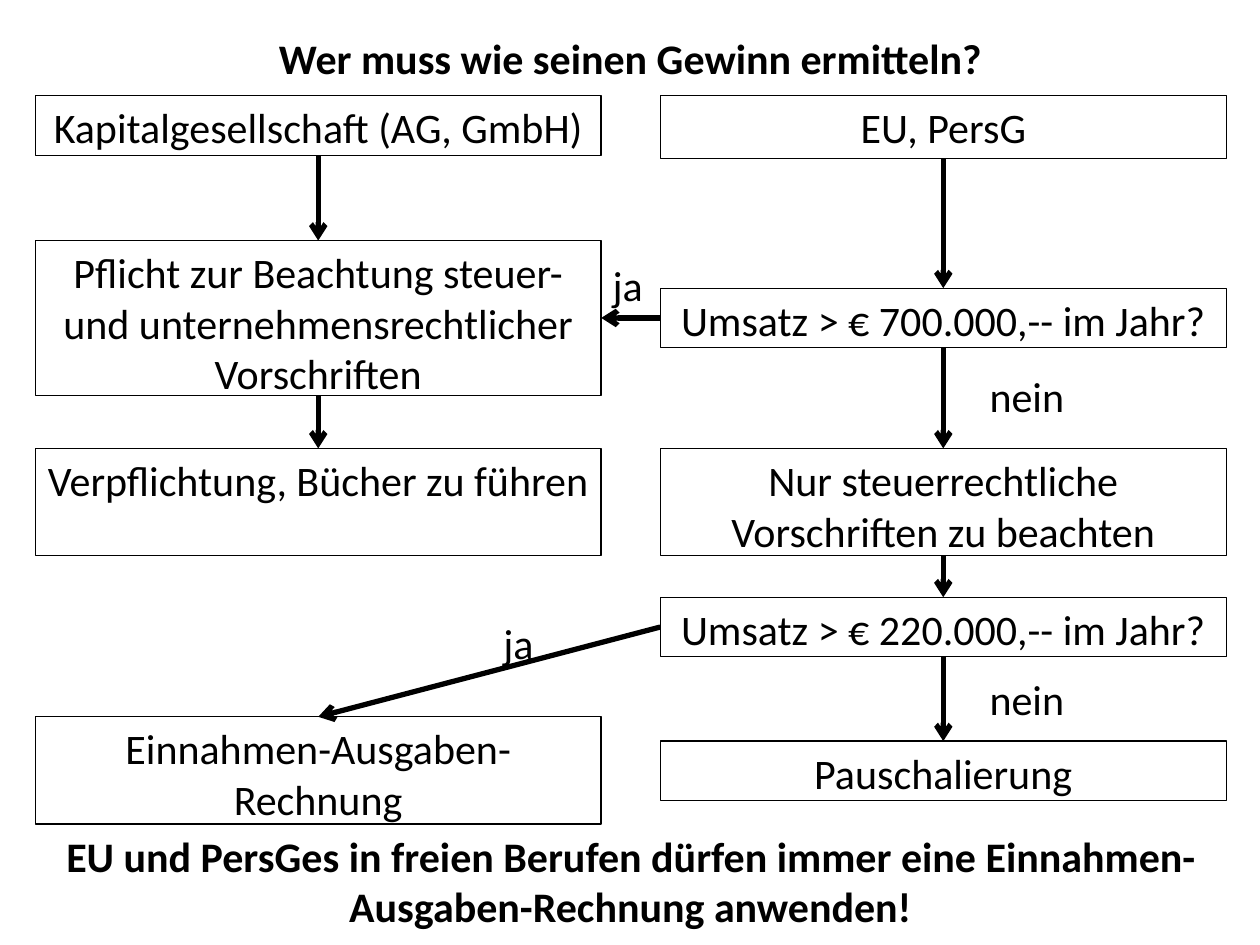
from lxml import etree
from pptx import Presentation
from pptx.dml.color import RGBColor
from pptx.enum.shapes import MSO_CONNECTOR, MSO_SHAPE
from pptx.enum.text import MSO_ANCHOR, PP_ALIGN
from pptx.oxml.ns import qn
from pptx.util import Cm, Pt

RECT = MSO_SHAPE.RECTANGLE
LINE = MSO_CONNECTOR.STRAIGHT
TOP = MSO_ANCHOR.TOP
LEFT, CENTER = PP_ALIGN.LEFT, PP_ALIGN.CENTER
NORTH, WEST, SOUTH, EAST = range(4)

COL_A, COL_B, WIDTH = 0.71, 13.31, 11.41
ONE, TWO = 1.2, 2.16  # box heights for one and two lines


def color(code):
    return RGBColor.from_string(code)


class Chart:
    """Style and current slide of the flow chart."""
    font, size, ink = "Calibri", 24, "000000"

    def __init__(self, slide):
        self.slide = slide

    def fill_text(self, shape, text, align, bold=False):
        frame = shape.text_frame
        frame.word_wrap = True
        frame.vertical_anchor = TOP
        par = frame.paragraphs[0]
        par.text = text
        par.alignment = align
        par.font.name = self.font
        par.font.size = Pt(self.size)
        par.font.bold = bold
        par.font.color.rgb = color(self.ink)

    def box(self, text, left, top, high):
        shape = self.slide.shapes.add_shape(
            RECT, Cm(left), Cm(top), Cm(WIDTH), Cm(high))
        shape.shadow.inherit = False
        shape.fill.background()
        shape.line.color.rgb = color(self.ink)
        shape.line.width = Pt(0.75)
        self.fill_text(shape, text, CENTER)
        return shape

    def label(self, text, left, top, wide, high=ONE, align=LEFT, bold=False):
        shape = self.slide.shapes.add_textbox(
            Cm(left), Cm(top), Cm(wide), Cm(high))
        self.fill_text(shape, text, align, bold)

    def arrow(self, start, end, out=SOUTH, into=NORTH):
        """Join two boxes at the given sides, with the head at the end."""
        link = self.slide.shapes.add_connector(LINE, 0, 0, 0, 0)
        link.begin_connect(start, out)
        link.end_connect(end, into)
        link.line.color.rgb = color(self.ink)
        link.line.width = Pt(3)
        props = link._element.spPr
        etree.SubElement(props.find(qn("a:ln")), qn("a:tailEnd"), type="arrow")
        etree.SubElement(props, qn("a:effectLst"))


def main():
    deck = Presentation()
    deck.slide_width, deck.slide_height = Cm(25.4), Cm(19.05)
    chart = Chart(deck.slides.add_slide(deck.slide_layouts[6]))

    corp = chart.box("Kapitalgesellschaft (AG, GmbH)", COL_A, 1.93, ONE)
    firm = chart.box("EU, PersG", COL_B, 1.93, 1.27)
    duty = chart.box("Pflicht zur Beachtung steuer- und unternehmensrechtlicher "
                     "Vorschriften", COL_A, 4.85, 3.12)
    books = chart.box("Verpflichtung, Bücher zu führen", COL_A, 9.04, TWO)
    cash = chart.box("Einnahmen-Ausgaben-Rechnung", COL_A, 14.45, TWO)
    high = chart.box("Umsatz > € 700.000,-- im Jahr?", COL_B, 5.81, ONE)
    tax = chart.box("Nur steuerrechtliche Vorschriften zu beachten",
                    COL_B, 9.04, TWO)
    low = chart.box("Umsatz > € 220.000,-- im Jahr?", COL_B, 12.04, ONE)
    flat = chart.box("Pauschalierung", COL_B, 14.94, ONE)

    for chain in ((corp, duty, books), (firm, high, tax, low, flat)):
        for start, end in zip(chain, chain[1:]):
            chart.arrow(start, end)
    chart.arrow(high, duty, WEST, EAST)
    chart.arrow(low, cash, WEST, NORTH)

    for text, left, top, wide in (("ja", 12.1, 5.11, 1.2), ("ja", 9.9, 12.32, 1.2),
                                  ("nein", 19.7, 7.34, 2.4),
                                  ("nein", 19.7, 13.46, 2.4)):
        chart.label(text, left, top, wide)

    for text, top, tall in (
            ("Wer muss wie seinen Gewinn ermitteln?", 0.53, 1.27),
            ("EU und PersGes in freien Berufen dürfen immer eine "
             "Einnahmen-Ausgaben-Rechnung anwenden!", 16.61, 2.31)):
        chart.label(text, COL_A, top, 24, tall, CENTER, True)

    deck.save("out.pptx")


if __name__ == "__main__":
    main()
